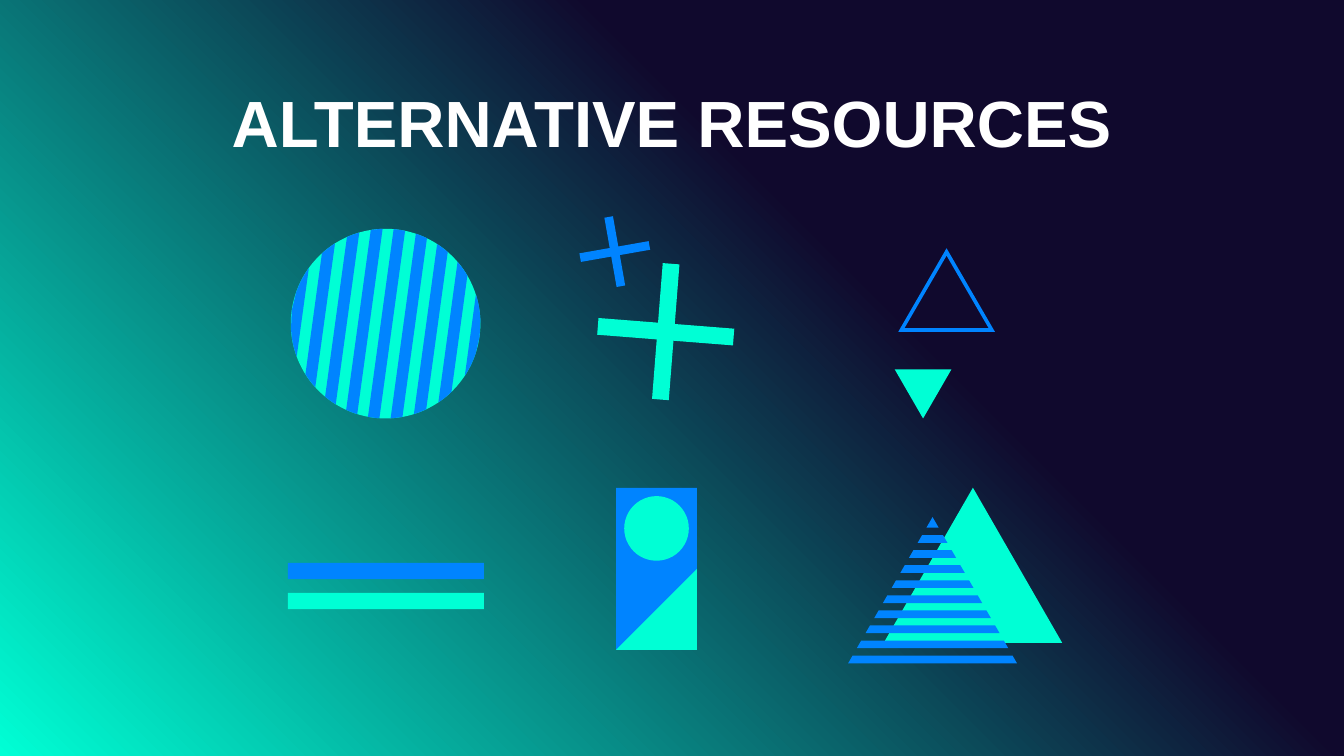
import copy
import dataclasses
import math

import pptx
import pptx.dml.color
import pptx.enum.shapes
import pptx.enum.text
import pptx.util

Pt = pptx.util.Pt
RGB = pptx.dml.color.RGBColor
Shape = pptx.enum.shapes.MSO_SHAPE


@dataclasses.dataclass(frozen=True)
class Theme:
    night: RGB = RGB.from_string("10092D")
    aqua: RGB = RGB.from_string("00FFD5")
    blue: RGB = RGB.from_string("0084FF")
    white: RGB = RGB.from_string("FFFFFF")
    font: str = "Arial"
    title_size: float = 35


class Deck:
    """Holds the theme and the current slide; all lengths are in points."""

    def __init__(self, theme):
        self.theme = theme
        self.presentation = pptx.Presentation()
        self.presentation.slide_width = Pt(720)
        self.presentation.slide_height = Pt(405)
        self.slide = None

    def add_slide(self):
        layout = self.presentation.slide_layouts[5]
        self.slide = self.presentation.slides.add_slide(layout)

    def background(self, stops, angle):
        """Fill with a gradient of (position, colour) stops, angle counter-clockwise."""
        fill = self.slide.background.fill
        fill.gradient()
        fill.gradient_angle = angle
        stop_list = self.slide.element.xpath(".//a:gsLst")[0]
        while len(stop_list) < len(stops):
            stop_list.append(copy.deepcopy(stop_list[-1]))
        for stop, (position, color) in zip(fill.gradient_stops, stops):
            stop.position = position
            stop.color.rgb = color

    def title(self, text, left, top, width, height):
        heading = self.slide.shapes.title
        heading.left, heading.top = Pt(left), Pt(top)
        heading.width, heading.height = Pt(width), Pt(height)
        frame = heading.text_frame
        frame.auto_size = pptx.enum.text.MSO_AUTO_SIZE.NONE
        frame.vertical_anchor = pptx.enum.text.MSO_ANCHOR.MIDDLE
        frame.margin_left = frame.margin_right = Pt(7.2)
        frame.margin_top = frame.margin_bottom = Pt(7.2)
        paragraph = frame.paragraphs[0]
        paragraph.alignment = pptx.enum.text.PP_ALIGN.CENTER
        run = paragraph.add_run()
        run.text = text
        run.font.name = self.theme.font
        run.font.size = Pt(self.theme.title_size)
        run.font.bold = True
        run.font.color.rgb = self.theme.white

    def paint(self, shape, color):
        shape.shadow.inherit = False
        shape.fill.solid()
        shape.fill.fore_color.rgb = color
        shape.line.fill.background()

    def preset(self, kind, left, top, width, height, color, rotation=0):
        shape = self.slide.shapes.add_shape(
            kind, Pt(left), Pt(top), Pt(width), Pt(height))
        shape.rotation = rotation
        self.paint(shape, color)

    def polygon(self, color, *contours):
        """Draw closed contours as one shape; an inner contour is a hole."""
        outlines = [[(Pt(x), Pt(y)) for x, y in contour] for contour in contours]
        builder = self.slide.shapes.build_freeform(*outlines[0][0], scale=1.0)
        for index, outline in enumerate(outlines):
            if index:
                builder.move_to(*outline[0])
            builder.add_line_segments(outline[1:], close=True)
        self.paint(builder.convert_to_shape(), color)

    def cross(self, center_x, center_y, length, thickness, rotation, color):
        for width, height in ((thickness, length), (length, thickness)):
            self.preset(Shape.RECTANGLE, center_x - width / 2,
                        center_y - height / 2, width, height, color, rotation)

    def striped_disc(self, center_x, center_y, radius, tilt):
        self.preset(Shape.OVAL, center_x - radius, center_y - radius,
                    2 * radius, 2 * radius, self.theme.aqua)
        pitch, band, first, steps = 12.1, 6.2, -2.6, 6
        cos, sin = math.cos(math.radians(tilt)), math.sin(math.radians(tilt))
        for index in range(-4, 5):
            start = max(first + index * pitch, -radius)
            end = min(first + index * pitch + band, radius)
            across = [start + (end - start) * i / steps for i in range(steps + 1)]
            upper = [(u, -math.sqrt(radius ** 2 - u ** 2)) for u in across]
            lower = [(u, -v) for u, v in reversed(upper)]
            self.polygon(self.theme.blue, [
                (center_x + u * cos - v * sin, center_y + u * sin + v * cos)
                for u, v in upper + lower])

    def striped_pyramid(self, apex_x, apex_y):
        first_base, pitch, band = 282.7, 8.07, 4.1
        slope = math.tan(math.radians(30))
        for row in range(10):
            base = first_base + row * pitch
            top = base - band if row else apex_y
            inner, outer = (top - apex_y) * slope, (base - apex_y) * slope
            self.polygon(self.theme.blue, [
                (apex_x - inner, top), (apex_x + inner, top),
                (apex_x + outer, base), (apex_x - outer, base)])


def main():
    theme = Theme()
    deck = Deck(theme)
    deck.add_slide()
    deck.background(
        [(0, theme.night), (0.36, theme.night), (1, theme.aqua)], angle=225)
    deck.title("ALTERNATIVE RESOURCES", 56.7, 42.5, 606.6, 45)

    deck.striped_disc(206.6, 173.4, 50.8, tilt=7.8)

    deck.cross(356.7, 177.7, 73, 9, 4.5, theme.aqua)
    deck.cross(329.4, 134.8, 37.7, 4.7, -10, theme.blue)

    deck.polygon(theme.blue,
                 [(507.1, 133), (533, 177.8), (481.2, 177.8)],
                 [(507.1, 137), (484.6, 175.8), (529.6, 175.8)])
    deck.preset(Shape.ISOSCELES_TRIANGLE, 479.3, 197.9, 30.4, 26.3, theme.aqua, 180)

    for top, color in ((301.6, theme.blue), (317.6, theme.aqua)):
        deck.preset(Shape.RECTANGLE, 154.2, top, 105.1, 8.7, color)

    deck.preset(Shape.ISOSCELES_TRIANGLE, 473.4, 261.3, 95.6, 83.1, theme.aqua)
    deck.striped_pyramid(499.6, 277)

    tile_left, tile_top, tile = 330, 261.4, 43.4
    for row in range(2):
        deck.preset(Shape.RECTANGLE, tile_left, tile_top + row * tile,
                    tile, tile, theme.blue)
    tile_right, tile_base = tile_left + tile, tile_top + 2 * tile
    deck.polygon(theme.aqua, [(tile_right, tile_top + tile),
                              (tile_left, tile_base), (tile_right, tile_base)])
    dot = 34.6
    inset = (tile - dot) / 2
    deck.preset(Shape.OVAL, tile_left + inset, tile_top + inset, dot, dot, theme.aqua)

    deck.presentation.save("out.pptx")


if __name__ == "__main__":
    main()
